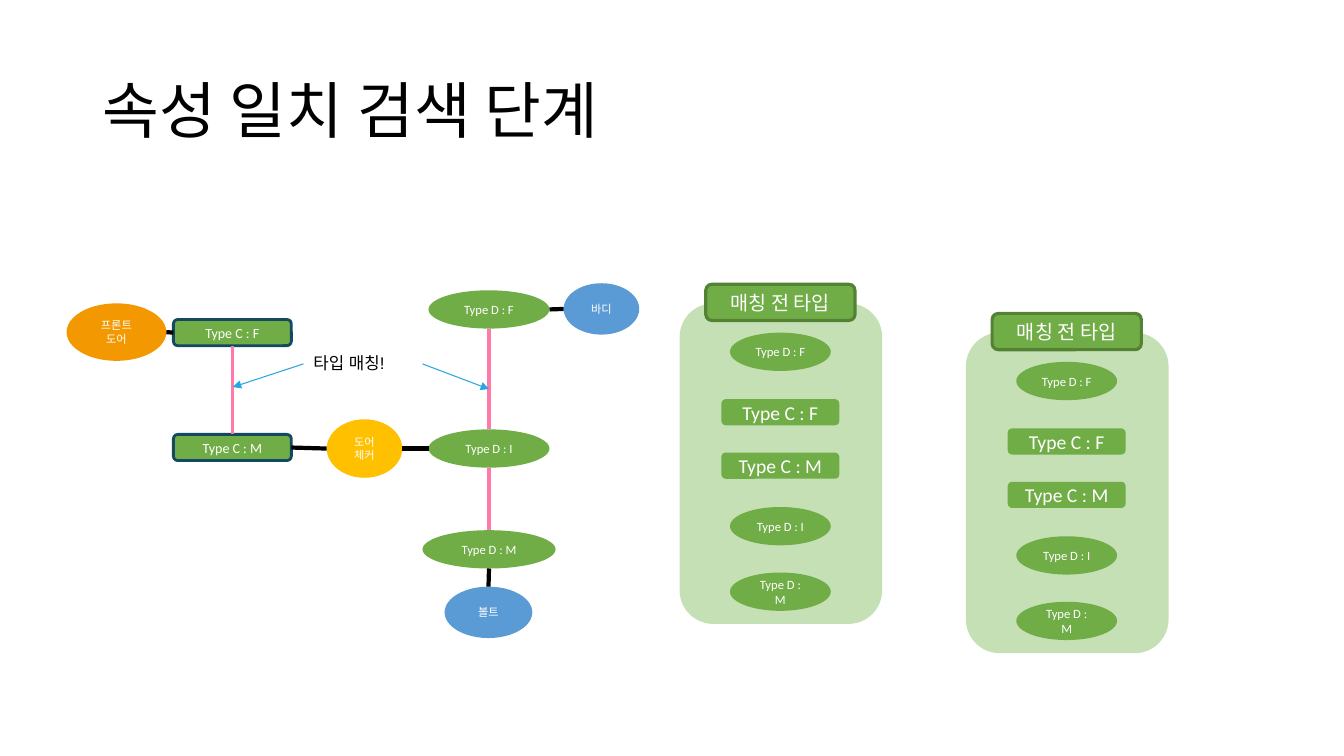
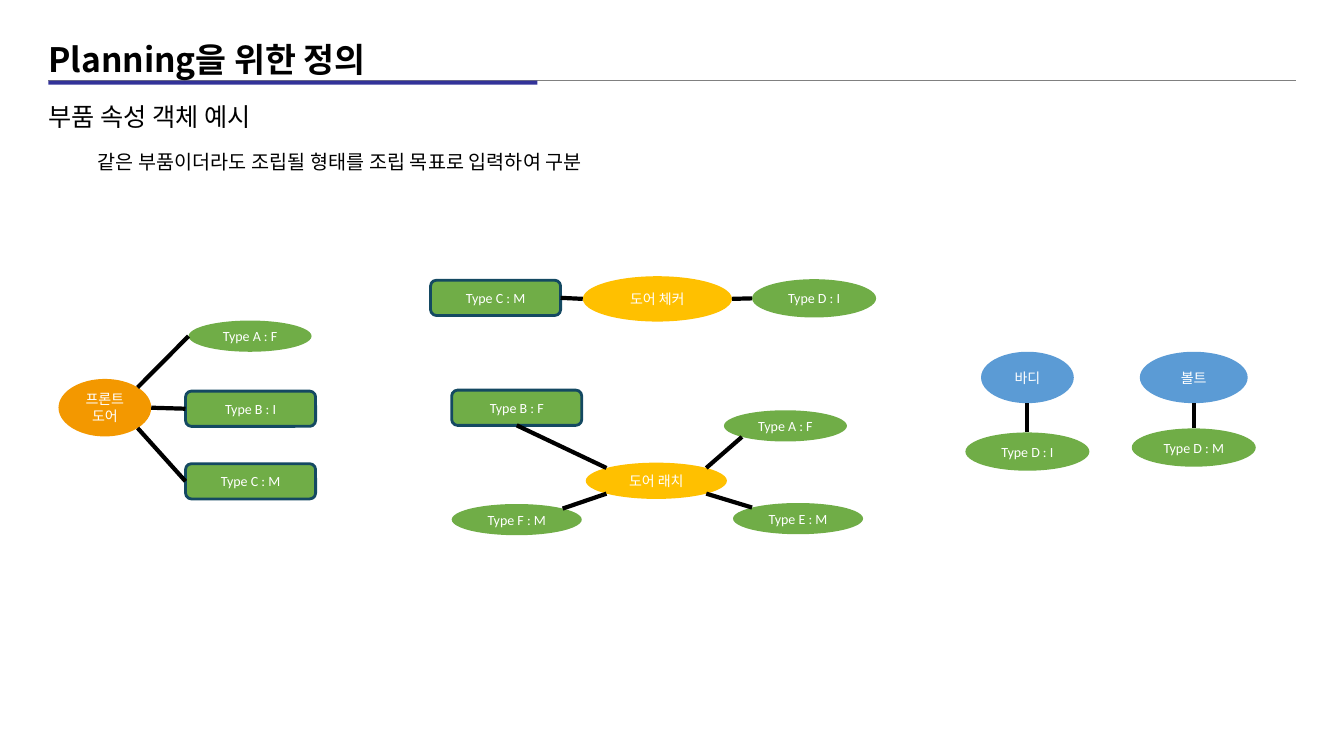
import math
from dataclasses import dataclass

import pptx
import pptx.dml.color
import pptx.enum.shapes
import pptx.enum.text
import pptx.oxml
import pptx.oxml.ns
import pptx.util

Inches = pptx.util.Inches
OVAL = pptx.enum.shapes.MSO_SHAPE.OVAL
ROUNDED = pptx.enum.shapes.MSO_SHAPE.ROUNDED_RECTANGLE
RECTANGLE = pptx.enum.shapes.MSO_SHAPE.RECTANGLE


@dataclass(frozen=True)
class Theme:
    text: str = "000000"
    light: str = "FFFFFF"
    attribute: str = "70AD47"
    attribute_edge: str = "144962"
    header_edge: str = "548235"
    panel: str = "C5E0B4"
    door: str = "F39800"
    door_part: str = "FFC000"
    body_part: str = "5B9BD5"
    match: str = "FF79A9"
    pointer: str = "29A5DF"
    rule: str = "808080"
    accent: str = "333399"
    font: str = "Calibri"
    heading_font: str = "Noto Sans CJK KR"
    note_font: str = "Arial"
    title_size: int = 44
    heading_size: int = 24
    body_size: int = 18
    detail_size: int = 14
    panel_size: int = 14
    note_size: int = 12
    node_size: int = 10
    small_size: int = 9
    part_size: int = 8


THEME = Theme()

# Horizontal and vertical position on an outline, from -1 to 1.
DIAGONAL = math.cos(math.pi / 4)
SITES = {
    "top": (0, -1), "bottom": (0, 1), "left": (-1, 0), "right": (1, 0),
    "top left": (-DIAGONAL, -DIAGONAL), "top right": (DIAGONAL, -DIAGONAL),
    "bottom left": (-DIAGONAL, DIAGONAL), "bottom right": (DIAGONAL, DIAGONAL),
}


def rgb(color):
    return pptx.dml.color.RGBColor.from_string(color)


def format_para(para, size, color, font=THEME.font, bold=False):
    """Style every run, with one font for Latin and East Asian text."""
    for run in para.runs:
        run.font.size = pptx.util.Pt(size)
        run.font.bold = bold
        run.font.color.rgb = rgb(color)
        run.font.name = font
        east_asian = pptx.oxml.parse_xml(
            f'<a:ea {pptx.oxml.ns.nsdecls("a")} typeface="{font}"/>')
        run.font._element.find(pptx.oxml.ns.qn("a:latin")).addnext(east_asian)


def add_block(canvas, kind, area, fill, edge=None, edge_width=2):
    shape = canvas.add_shape(kind, *map(Inches, area))
    shape.shadow.inherit = False
    shape.fill.solid()
    shape.fill.fore_color.rgb = rgb(fill)
    if edge:
        shape.line.color.rgb = rgb(edge)
        shape.line.width = pptx.util.Pt(edge_width)
    else:
        shape.line.fill.background()
    return shape


def add_node(canvas, kind, area, label, size=THEME.node_size,
             fill=THEME.attribute, edge=None, edge_width=2):
    shape = add_block(canvas, kind, area, fill, edge, edge_width)
    frame = shape.text_frame
    frame.word_wrap = True
    frame.vertical_anchor = pptx.enum.text.MSO_ANCHOR.MIDDLE
    frame.text = label
    for para in frame.paragraphs:
        para.alignment = pptx.enum.text.PP_ALIGN.CENTER
        format_para(para, size, THEME.light)
    return shape


def add_attribute_box(canvas, area, label):
    return add_node(canvas, ROUNDED, area, label, edge=THEME.attribute_edge)


def add_text(canvas, area, text, size, font=THEME.font, bold=False,
             middle=False, spacing=1.0):
    box = canvas.add_textbox(*map(Inches, area))
    frame = box.text_frame
    frame.word_wrap = True
    if middle:
        frame.vertical_anchor = pptx.enum.text.MSO_ANCHOR.MIDDLE
    frame.text = text
    for para in frame.paragraphs:
        para.line_spacing = spacing
        format_para(para, size, THEME.text, font, bold)
    return box


def add_line(canvas, start, end, color, width, arrow=False):
    """Draw a straight line between two points given in EMU."""
    line = canvas.add_connector(
        pptx.enum.shapes.MSO_CONNECTOR.STRAIGHT, *start, *end)
    line.line.color.rgb = rgb(color)
    line.line.width = pptx.util.Pt(width)
    namespace = pptx.oxml.ns.nsdecls("a")
    if arrow:
        line.get_or_add_ln().append(
            pptx.oxml.parse_xml(f'<a:tailEnd {namespace} type="triangle"/>'))
    line._element.spPr.append(
        pptx.oxml.parse_xml(f"<a:effectLst {namespace}/>"))


def site_point(shape, site):
    across, down = SITES[site]
    return (round(shape.left + shape.width * (1 + across) / 2),
            round(shape.top + shape.height * (1 + down) / 2))


def link(canvas, first, first_site, second, second_site,
         color=THEME.text, width=3):
    add_line(canvas, site_point(first, first_site),
             site_point(second, second_site), color, width)


def add_type_panel(page, left, top):
    canvas = page.shapes
    center = left + 1
    add_block(canvas, ROUNDED, (left, top, 2.01, 3.18), THEME.panel)
    rows = [
        (OVAL, "Type D : F", 0.29), (ROUNDED, "Type C : F", 0.95),
        (ROUNDED, "Type C : M", 1.48), (OVAL, "Type D : I", 2.02),
        (OVAL, "Type D : M", 2.67),
    ]
    styles = {OVAL: (1, 0.38, THEME.small_size),
              ROUNDED: (1.17, 0.26, THEME.panel_size)}
    for kind, label, offset in rows:
        width, height, size = styles[kind]
        add_node(canvas, kind,
                 (center - width / 2, top + offset, width, height), label, size)
    add_node(canvas, ROUNDED, (center - 0.74, top - 0.19, 1.48, 0.36),
             "매칭 전 타입", THEME.panel_size,
             edge=THEME.header_edge, edge_width=2.25)


def add_matching_diagram(page):
    canvas = page.shapes.add_group_shape().shapes

    def part(area, label, fill):
        return add_node(canvas, OVAL, area, label, THEME.part_size, fill)

    def oval(area, label):
        return add_node(canvas, OVAL, area, label, THEME.small_size)

    checker = part((3.24, 4.16, 0.75, 0.58), "도어\n체커", THEME.door_part)
    door = part((0.66, 3.01, 0.99, 0.57), "프론트 도어", THEME.door)
    body = part((5.59, 2.81, 0.75, 0.51), "바디", THEME.body_part)
    bolt = part((4.41, 5.82, 0.87, 0.51), "볼트", THEME.body_part)
    c_female = add_attribute_box(canvas, (1.72, 3.17, 1.17, 0.26), "Type C : F")
    c_male = add_attribute_box(canvas, (1.72, 4.31, 1.17, 0.26), "Type C : M")
    d_inner = oval((4.25, 4.26, 1.2, 0.38), "Type D : I")
    d_female = oval((4.25, 2.88, 1.2, 0.38), "Type D : F")
    d_male = oval((4.19, 5.26, 1.32, 0.38), "Type D : M")

    for first, second in [(door, c_female), (c_male, checker),
                          (checker, d_inner), (d_female, body)]:
        link(canvas, first, "right", second, "left")
    link(canvas, d_male, "bottom", bolt, "top")
    for first, second in [(c_female, c_male), (d_female, d_inner),
                          (d_inner, d_male)]:
        link(canvas, first, "bottom", second, "top", THEME.match, 2.25)

    note = add_text(canvas, (3.01, 3.38, 1.18, 0.46), "타입 매칭!",
                    THEME.note_size, THEME.note_font, middle=True, spacing=0.9)
    for site, target in [("left", (2.31, 3.84)), ("right", (4.85, 3.86))]:
        add_line(canvas, site_point(note, site), tuple(map(Inches, target)),
                 THEME.pointer, 0.75, arrow=True)


def build_matching_page(page):
    add_text(page.shapes, (0.92, 0.4, 11.5, 1.45), "속성 일치 검색 단계",
             THEME.title_size, middle=True, spacing=0.9)
    add_matching_diagram(page)
    for left, top in [(6.74, 3.01), (9.58, 3.3)]:
        add_type_panel(page, left, top)


def add_heading(page, heading, summary, detail):
    canvas = page.shapes
    add_line(canvas, (Inches(0.48), Inches(0.8)),
             (Inches(12.85), Inches(0.8)), THEME.rule, 1)
    add_block(canvas, RECTANGLE, (0.48, 0.8, 4.85, 0.04), THEME.accent)
    box = add_text(canvas, (0.38, 0.78, 12.5, 0.96), summary,
                   THEME.body_size, spacing=1.6)
    para = box.text_frame.add_paragraph()
    para.text = detail
    para.line_spacing = 1.6
    para.space_before = pptx.util.Pt(3)
    para._p.get_or_add_pPr().set("marL", str(Inches(0.49)))
    format_para(para, THEME.detail_size, THEME.text)
    add_text(canvas, (0.38, 0.34, 6.67, 0.5), heading, THEME.heading_size,
             THEME.heading_font, bold=True)


def add_checker(page):
    canvas = page.shapes.add_group_shape().shapes
    checker = add_node(canvas, OVAL, (5.78, 2.74, 1.48, 0.45), "도어 체커",
                       fill=THEME.door_part)
    inner = add_node(canvas, OVAL, (7.46, 2.77, 1.23, 0.38), "Type D : I")
    male = add_attribute_box(canvas, (4.27, 2.78, 1.29, 0.35), "Type C : M")
    link(canvas, male, "right", checker, "left")
    link(canvas, checker, "right", inner, "left")


def add_latch(page):
    canvas = page.shapes.add_group_shape().shapes
    latch = add_node(canvas, OVAL, (5.81, 4.59, 1.4, 0.36), "도어 래치",
                     fill=THEME.door_part)
    a_female = add_node(canvas, OVAL, (7.18, 4.07, 1.22, 0.31), "Type A : F")
    e_male = add_node(canvas, OVAL, (7.27, 4.99, 1.29, 0.31), "Type E : M")
    f_male = add_node(canvas, OVAL, (4.48, 5, 1.29, 0.31), "Type F : M")
    b_female = add_attribute_box(canvas, (4.48, 3.87, 1.29, 0.35), "Type B : F")
    link(canvas, b_female, "bottom", latch, "top left")
    link(canvas, a_female, "bottom left", latch, "top right")
    link(canvas, e_male, "top left", latch, "bottom right")
    link(canvas, f_male, "top right", latch, "bottom left")


def add_front_door(page):
    canvas = page.shapes.add_group_shape().shapes
    door = add_node(canvas, OVAL, (0.58, 3.76, 0.92, 0.57), "프론트 도어",
                    fill=THEME.door)
    a_female = add_node(canvas, OVAL, (1.87, 3.18, 1.22, 0.31), "Type A : F")
    b_inner = add_attribute_box(canvas, (1.84, 3.88, 1.29, 0.35), "Type B : I")
    c_male = add_attribute_box(canvas, (1.84, 4.6, 1.29, 0.35), "Type C : M")
    link(canvas, door, "top right", a_female, "left")
    link(canvas, door, "right", b_inner, "left")
    link(canvas, door, "bottom right", c_male, "left")


def add_body_part(page, part_name, center, width, attribute, attribute_top):
    canvas = page.shapes.add_group_shape().shapes
    part = add_node(canvas, OVAL, (center - width / 2, 3.49, width, 0.51),
                    part_name, fill=THEME.body_part)
    oval = add_node(canvas, OVAL, (center - 0.615, attribute_top, 1.23, 0.38),
                    attribute)
    link(canvas, part, "bottom", oval, "top")


def build_definition_page(page):
    add_heading(page, "Planning을 위한 정의", "부품 속성 객체 예시",
                "같은 부품이더라도 조립될 형태를 조립 목표로 입력하여 구분")
    add_checker(page)
    add_latch(page)
    add_front_door(page)
    add_body_part(page, "바디", 10.19, 0.92, "Type D : I", 4.29)
    add_body_part(page, "볼트", 11.84, 1.07, "Type D : M", 4.25)


def main():
    deck = pptx.Presentation()
    deck.slide_width = Inches(13.33)
    deck.slide_height = Inches(7.5)
    for build in (build_matching_page, build_definition_page):
        build(deck.slides.add_slide(deck.slide_layouts[6]))
    deck.save("out.pptx")


if __name__ == "__main__":
    main()
